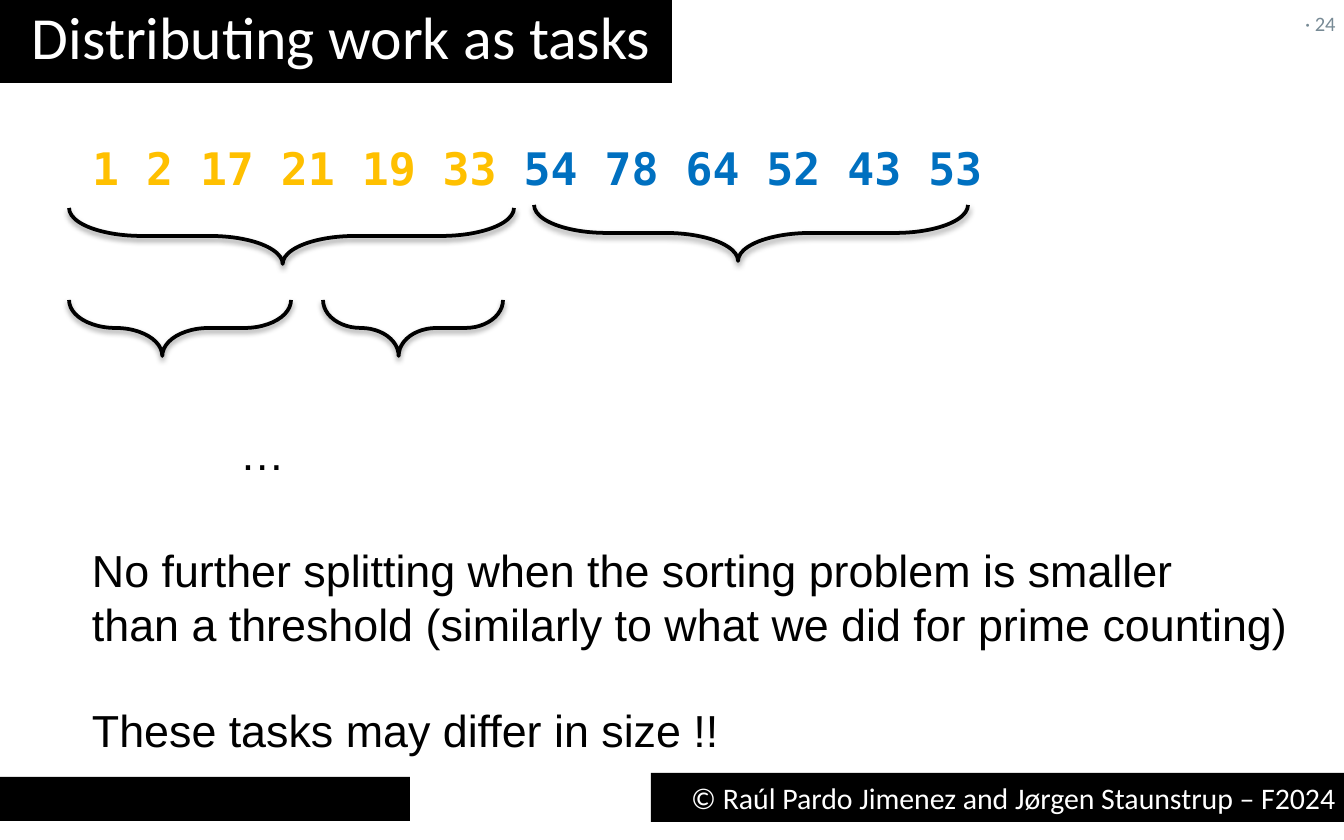
from lxml import etree
from pptx import Presentation
from pptx import util as u
from pptx.dml.color import RGBColor
from pptx.enum import shapes, text
from pptx.oxml import ns

BLACK = RGBColor(0x00, 0x00, 0x00)
WHITE = RGBColor(0xFF, 0xFF, 0xFF)
AMBER = RGBColor(0xFF, 0xC0, 0x00)
BLUE = RGBColor(0x00, 0x70, 0xC0)
SLATE = RGBColor(0x77, 0x8A, 0x95)

PX_PER_INCH = 134.4
INSETS = (13, 7, 13, 7)

TITLE = "Distributing work as tasks"
FOOTER = "© Raúl Pardo Jimenez and Jørgen Staunstrup – F2024"
PAGE_NUMBER = "· 24"
NUMBERS = [("1 2 17 21 19 33 ", AMBER), ("54 78 64 52 43 53", BLUE)]
# (text, space before in points)
CONCLUSIONS = [
    ("No further splitting when the sorting problem is smaller", 0),
    ("than a threshold (similarly to what we did for prime counting)", 0),
    ("These tasks may differ in size !!", 28),
]
# left, top, width, distance of the tip from the right end as a share of width
BRACES = [
    (69, 208, 445, 0.52),
    (534, 205, 434, 0.53),
    (69, 300, 222, 0.58),
    (323, 300, 180, 0.58),
]
BRACE_DEPTH = 56
BRACE_CURVE = 1.3


def px(length):
    return u.Emu(round(length * 914400 / PX_PER_INCH))


def add_bar(slide, left, top, width, height):
    bar = slide.shapes.add_shape(
        shapes.MSO_SHAPE.RECTANGLE, px(left), px(top), px(width), px(height))
    bar.shadow.inherit = False
    bar.fill.solid()
    bar.fill.fore_color.rgb = BLACK
    bar.line.fill.background()
    return bar


def add_text_box(slide, left, top, width, height):
    return slide.shapes.add_textbox(px(left), px(top), px(width), px(height))


def set_text(shape, paragraphs, font_name, size, color, wrap=False, insets=INSETS,
             anchor=text.MSO_ANCHOR.TOP, align=text.PP_ALIGN.LEFT):
    """Fill a shape with (text, space before) paragraphs in one font."""
    frame = shape.text_frame
    frame.word_wrap = wrap
    frame.vertical_anchor = anchor
    (frame.margin_left, frame.margin_top,
     frame.margin_right, frame.margin_bottom) = map(px, insets)
    frame.text = "\n".join(line for line, _ in paragraphs)
    for paragraph, (_, space) in zip(frame.paragraphs, paragraphs):
        paragraph.alignment = align
        if space:
            paragraph.space_before = u.Pt(space)
        for run in paragraph.runs:
            set_font(run.font, font_name, size, color)


def set_font(font, name, size, color, bold=False):
    font.name = name
    font.size = u.Pt(size)
    font.color.rgb = color
    font.bold = bold


def add_shadow(shape):
    """Cast a soft black shadow straight down."""
    shape.shadow.inherit = False
    effects = shape._element.spPr.find(ns.qn("a:effectLst"))
    shadow = etree.SubElement(
        effects, ns.qn("a:outerShdw"), blurRad=str(u.Pt(3.1)),
        dist=str(u.Pt(1.6)), dir="5400000", rotWithShape="0")
    color = etree.SubElement(shadow, ns.qn("a:srgbClr"), val=str(BLACK))
    etree.SubElement(color, ns.qn("a:alpha"), val="38000")


def add_brace(slide, left, top, width, tip):
    """Add a brace that points down, by turning a right brace about its centre."""
    shift = (width - BRACE_DEPTH) / 2
    brace = slide.shapes.add_shape(
        shapes.MSO_SHAPE.RIGHT_BRACE, px(left + shift), px(top - shift),
        px(BRACE_DEPTH), px(width))
    brace.rotation = 90
    brace.adjustments[0] = BRACE_CURVE
    brace.adjustments[1] = tip
    brace.fill.background()
    brace.line.color.rgb = BLACK
    brace.line.width = u.Pt(2)
    add_shadow(brace)


def main():
    presentation = Presentation()
    presentation.slide_width = px(1344)
    presentation.slide_height = px(840)
    slide = presentation.slides.add_slide(presentation.slide_layouts[6])

    add_bar(slide, 0, 777, 410, 44)
    set_text(add_bar(slide, 651, 773, 693, 49), [(FOOTER, 0)], "Calibri", 16, WHITE,
             insets=(13, 7, 8, 7), align=text.PP_ALIGN.RIGHT)
    set_text(add_bar(slide, 0, 0, 672, 83), [(TITLE, 0)], "Calibri", 32, WHITE,
             insets=(32, 0, 13, 11), anchor=text.MSO_ANCHOR.MIDDLE)
    set_text(add_text_box(slide, 1305, 7, 34, 32), [(PAGE_NUMBER, 0)], "Calibri", 11,
             SLATE, insets=(0, 0, 0, 0), anchor=text.MSO_ANCHOR.MIDDLE)

    numbers = add_text_box(slide, 79, 134, 921, 67)
    numbers.text_frame.word_wrap = True
    for half, color in NUMBERS:
        run = numbers.text_frame.paragraphs[0].add_run()
        run.text = half
        set_font(run.font, "DejaVu Sans Mono", 24, color, bold=True)

    for brace in BRACES:
        add_brace(slide, *brace)

    set_text(add_text_box(slide, 227, 419, 85, 67), [("…", 0)], "Arial", 24, BLACK)
    set_text(add_text_box(slide, 79, 536, 1235, 231), CONCLUSIONS, "Arial", 24, BLACK)

    presentation.save("out.pptx")


if __name__ == "__main__":
    main()
